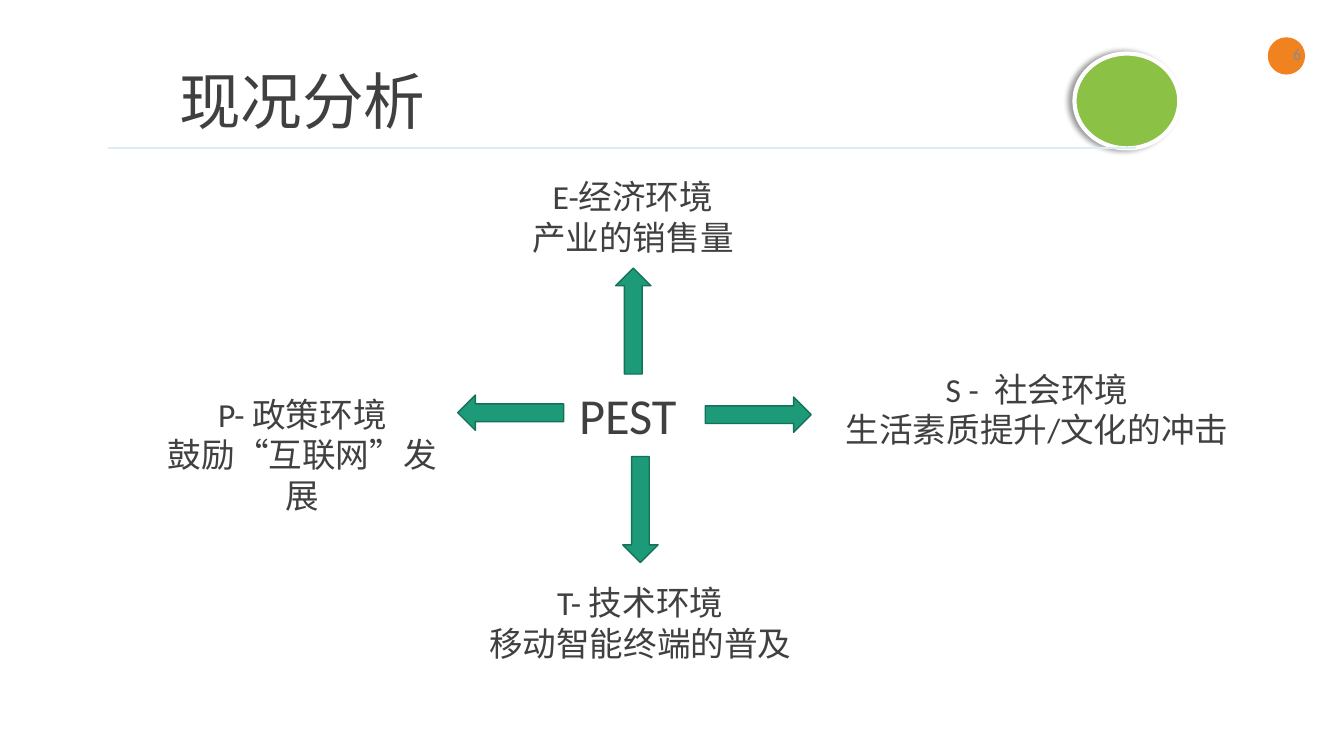
import lxml.etree
import pptx
import pptx.dml.color
import pptx.enum.shapes
import pptx.enum.text
import pptx.oxml.ns
import pptx.util

Cm = pptx.util.Cm
Pt = pptx.util.Pt
SHAPE = pptx.enum.shapes.MSO_SHAPE
ALIGN = pptx.enum.text.PP_ALIGN
ANCHOR = pptx.enum.text.MSO_ANCHOR
qn = pptx.oxml.ns.qn

INK = "404040"
ARROW_LENGTH, ARROW_WIDTH = 2.67, 0.89


def color(hex_text):
    return pptx.dml.color.RGBColor.from_string(hex_text)


def format_text(frame, text, size, ink=INK, align=ALIGN.CENTER, anchor=ANCHOR.TOP):
    frame.word_wrap = True
    frame.auto_size = pptx.enum.text.MSO_AUTO_SIZE.NONE
    frame.vertical_anchor = anchor
    frame.text = text
    for paragraph in frame.paragraphs:
        paragraph.alignment = align
        for run in paragraph.runs:
            run.font.size = Pt(size)
            run.font.name = "Calibri"
            run.font.color.rgb = color(ink)


def add_text(slide, box, text, size, **style):
    label = slide.shapes.add_textbox(*map(Cm, box))
    format_text(label.text_frame, text, size, **style)


def add_figure(slide, kind, box, fill, line=None, line_width=1):
    figure = slide.shapes.add_shape(kind, *map(Cm, box))
    figure.shadow.inherit = False
    figure.fill.solid()
    figure.fill.fore_color.rgb = color(fill)
    if line:
        figure.line.color.rgb = color(line)
        figure.line.width = Pt(line_width)
    else:
        figure.line.fill.background()
    return figure


def add_arrow(slide, center_x, center_y, rotation):
    box = (center_x - ARROW_LENGTH / 2, center_y - ARROW_WIDTH / 2,
           ARROW_LENGTH, ARROW_WIDTH)
    arrow = add_figure(slide, SHAPE.RIGHT_ARROW, box, "1D9A78", "157259")
    arrow.rotation = rotation


def cast_shadow_left(figure):
    effects = figure._element.spPr.find(qn("a:effectLst"))
    shadow = lxml.etree.SubElement(
        effects, qn("a:outerShdw"), blurRad=str(Pt(4)), dist=str(Pt(3)),
        dir="10800000", algn="r", rotWithShape="0")
    black = lxml.etree.SubElement(shadow, qn("a:srgbClr"), val="000000")
    lxml.etree.SubElement(black, qn("a:alpha"), val="40000")


def add_rule(slide, left, right, y):
    rule = slide.shapes.add_connector(
        pptx.enum.shapes.MSO_CONNECTOR.STRAIGHT, Cm(left), Cm(y), Cm(right), Cm(y))
    rule.line.color.rgb = color("D7EFF5")
    rule.line.width = Pt(1.5)
    lxml.etree.SubElement(rule._element.spPr, qn("a:effectLst"))


def main():
    deck = pptx.Presentation()
    deck.slide_width, deck.slide_height = Cm(33.87), Cm(19.05)
    slide = deck.slides.add_slide(deck.slide_layouts[5])

    # Page number badge
    add_figure(slide, SHAPE.OVAL, (31.95, 0.94, 0.94, 0.94), "F08220")
    add_text(slide, (31.75, 0.84, 1.3, 1.02), "6", 12,
             ink="8C8C8C", align=ALIGN.RIGHT, anchor=ANCHOR.MIDDLE)

    # Heading
    title = slide.shapes.title
    title.left, title.top, title.width, title.height = map(Cm, (-2.03, 1.47, 19.3, 2.13))
    format_text(title.text_frame, "现况分析", 44)
    medallion = add_figure(slide, SHAPE.OVAL, (27.08, 1.35, 2.64, 2.39),
                           "8BC145", "FFFFFF", 3)
    cast_shadow_left(medallion)

    # PEST hub and its arrows: left, up, down, right
    add_text(slide, (9.07, 9.55, 13.79, 1.8), "PEST ", 36)
    for center_x, center_y, rotation in ((12.87, 10.4, 180), (15.96, 8.09, 270),
                                         (16.14, 12.84, 90), (19.11, 10.45, 0)):
        add_arrow(slide, center_x, center_y, rotation)

    # The four environments
    environments = (
        (3.71, 9.8, 7.82, "P- 政策环境\n鼓励“互联网”发展"),
        (12.8, 4.32, 6.3, "E-经济环境\n产业的销售量"),
        (20.93, 9.17, 10.41, "S -  社会环境\n生活素质提升/文化的冲击"),
        (11.13, 14.55, 10.01, "T- 技术环境\n移动智能终端的普及"),
    )
    for left, top, width, text in environments:
        add_text(slide, (left, top, width, 3.33), text, 24)

    # Line under the heading
    add_rule(slide, 2.72, 28.63, 3.73)

    deck.save("out.pptx")


if __name__ == "__main__":
    main()
